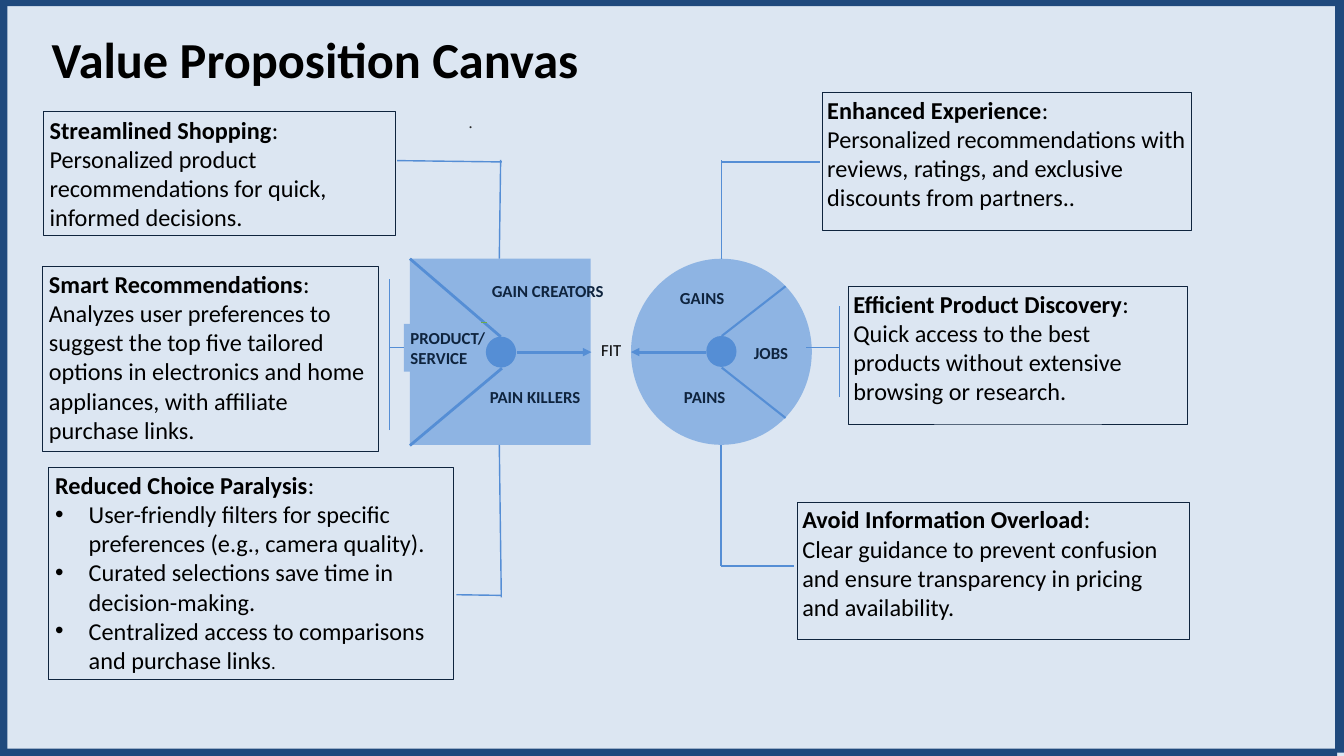
"""Build a Value Proposition Canvas slide."""
from lxml import etree
from pptx import Presentation
from pptx import util as u
from pptx.dml.color import RGBColor
from pptx.enum import shapes, text
from pptx.oxml import ns

PALE = RGBColor(0xDC, 0xE6, 0xF2)
LIGHT = RGBColor(0x8E, 0xB4, 0xE3)
BLUE = RGBColor(0x55, 0x8E, 0xD5)
NAVY = RGBColor(0x1F, 0x49, 0x7D)
INK = RGBColor(0x0F, 0x24, 0x3E)
GREEN = RGBColor(0x70, 0xAD, 0x47)
GREY = RGBColor(0x29, 0x29, 0x29)
BLACK = RGBColor(0, 0, 0)

presentation = Presentation()
presentation.slide_width = u.Inches(20)
presentation.slide_height = u.Inches(11.25)
COLUMN = presentation.slide_width / 20
ROW = presentation.slide_height / 11.25


def write(paragraph, content, size=26, bold=False, color=BLACK, font="Calibri"):
    run = paragraph.add_run()
    run.text = content
    run.font.size = u.Pt(size)
    run.font.bold = bold
    run.font.name = font
    run.font.color.rgb = color


def place(left, top, width, height):
    return int(left * COLUMN), int(top * ROW), int(width * COLUMN), int(height * ROW)


slide = presentation.slides.add_slide(presentation.slide_layouts[1])
slide.background.fill.solid()
slide.background.fill.fore_color.rgb = PALE

title, body = slide.placeholders
for placeholder, area in ((title, (0.77, 0.11, 13.49, 1.12)), (body, (0.72, 6.95, 6.03, 3.16))):
    placeholder.left, placeholder.top, placeholder.width, placeholder.height = place(*area)
    placeholder.text_frame.auto_size = text.MSO_AUTO_SIZE.NONE
    placeholder.text_frame.vertical_anchor = text.MSO_ANCHOR.TOP

frame = title.text_frame
frame.margin_left = frame.margin_top = frame.margin_right = frame.margin_bottom = 0
paragraph = frame.paragraphs[0]
paragraph.alignment = text.PP_ALIGN.LEFT
paragraph.line_spacing = u.Pt(87.5)
write(paragraph, "Value Proposition Canvas", size=54, bold=True)

body.line.color.rgb = INK
body.line.width = u.Pt(0.75)
paragraph = body.text_frame.paragraphs[0]
properties = paragraph._p.get_or_add_pPr()
properties.set("marL", "0")
properties.set("indent", "0")
etree.SubElement(properties, ns.qn("a:buNone"))
paragraph.space_before = u.Pt(0)
write(paragraph, "Reduced Choice Paralysis", bold=True)
write(paragraph, ":")
for item in (
    "User-friendly filters for specific preferences (e.g., camera quality).",
    "Curated selections save time in decision-making.",
    "Centralized access to comparisons and purchase links",
):
    paragraph = body.text_frame.add_paragraph()
    properties = paragraph._p.get_or_add_pPr()
    properties.set("marL", str(u.Inches(0.5)))
    properties.set("indent", str(-u.Inches(0.5)))
    etree.SubElement(properties, ns.qn("a:buFont")).set("typeface", "Arial")
    etree.SubElement(properties, ns.qn("a:buChar")).set("char", "•")
    paragraph.space_before = u.Pt(0)
    write(paragraph, item)
write(paragraph, ".", size=20)

RECTANGLE = shapes.MSO_SHAPE.RECTANGLE
CIRCLE = shapes.MSO_SHAPE.FLOWCHART_CONNECTOR
for kind, area, color in (
    (CIRCLE, (9.39, 3.85, 2.69, 2.77), LIGHT),
    (CIRCLE, (10.51, 5, 0.45, 0.46), BLUE),
    (RECTANGLE, (6.1, 3.85, 2.69, 2.77), LIGHT),
    (RECTANGLE, (6.01, 4.82, 1.42, 0.71), LIGHT),
    (CIRCLE, (7.23, 5.01, 0.45, 0.46), BLUE),
    (RECTANGLE, (0, -0.02, 19.9, 0.11), NAVY),
    (RECTANGLE, (0, 11.14, 19.9, 0.11), NAVY),
    (RECTANGLE, (-0.02, 0.03, 0.13, 11.2), NAVY),
    (RECTANGLE, (19.87, 0, 0.13, 11.2), NAVY),
):
    shape = slide.shapes.add_shape(kind, *place(*area))
    shape.shadow.inherit = False
    shape.fill.solid()
    shape.fill.fore_color.rgb = color
    shape.line.fill.background()

for start_x, start_y, end_x, end_y, width, color, arrow in (
    (10.51, 5.24, 9.39, 5.24, 3, BLUE, True),
    (7.7, 5.24, 8.8, 5.24, 3, BLUE, True),
    (11.69, 4.26, 10.74, 5, 2.25, BLUE, False),
    (11.69, 6.22, 10.74, 5.47, 2.25, BLUE, False),
    (7.47, 5.48, 6.1, 6.63, 3, BLUE, False),
    (7.45, 5.01, 6.1, 3.85, 3, BLUE, False),
    (7.43, 3.85, 7.45, 2.38, 1.5, BLUE, False),
    (7.47, 2.41, 5.91, 2.39, 1.5, BLUE, False),
    (7.46, 8.89, 7.43, 6.62, 1.5, BLUE, False),
    (7.46, 8.86, 6.79, 8.85, 1.5, BLUE, False),
    (7.24, 4.8, 7.16, 4.8, 1.5, GREEN, False),
    (5.8, 6.4, 5.8, 4.15, 1.5, BLUE, False),
    (6.01, 5.17, 5.8, 5.17, 1.5, BLUE, False),
    (10.74, 3.85, 10.74, 2.38, 1.5, BLUE, False),
    (12.2, 2.41, 10.73, 2.41, 1.5, BLUE, False),
    (12, 5.17, 12.49, 5.17, 0.5, BLUE, False),
    (12.49, 5.91, 12.49, 4.56, 0.5, BLUE, False),
    (10.73, 8.42, 10.73, 6.62, 1.5, BLUE, False),
    (11.81, 8.42, 10.73, 8.42, 1.5, BLUE, False),
):
    connector = slide.shapes.add_connector(
        shapes.MSO_CONNECTOR.STRAIGHT, *place(start_x, start_y, end_x, end_y)
    )
    connector.line.color.rgb = color
    connector.line.width = u.Pt(width)
    if arrow:
        outline = connector.line._get_or_add_ln()
        etree.SubElement(outline, ns.qn("a:tailEnd")).set("type", "triangle")
    etree.SubElement(connector._element.spPr, ns.qn("a:effectLst"))

LEFT, CENTER = text.PP_ALIGN.LEFT, text.PP_ALIGN.CENTER
LABEL = {"size": 18, "bold": True, "color": INK}
for area, lines, alignment, style in (
    ((11.12, 5.05, 1.29, 0.45), ["JOBS"], LEFT, LABEL),
    ((10.08, 5.71, 1.29, 0.45), ["PAINS"], LEFT, LABEL),
    ((10.02, 4.23, 1.29, 0.45), ["GAINS"], LEFT, LABEL),
    ((7.22, 4.13, 1.88, 0.45), ["GAIN CREATORS"], LEFT, LABEL),
    ((7.19, 5.71, 1.88, 0.45), ["PAIN KILLERS"], LEFT, LABEL),
    ((6.01, 4.82, 1.42, 0.71), ["PRODUCT/", "SERVICE"], LEFT, LABEL),
    ((8.16, 5, 1.87, 0.4), ["FIT"], CENTER, {"size": 18}),
    ((6.87, 1.62, 0.27, 0.4), ["."], LEFT, {"size": 18, "color": GREY, "font": "TeX Gyre Schola"}),
):
    frame = slide.shapes.add_textbox(*place(*area)).text_frame
    frame.word_wrap = True
    for index, line in enumerate(lines):
        paragraph = frame.add_paragraph() if index else frame.paragraphs[0]
        paragraph.alignment = alignment
        write(paragraph, line, **style)

for area, margins, heading, lines in (
    ((0.64, 1.66, 5.24, 1.85), (0.1, 0.05), "Streamlined Shopping",
     [": Personalized product recommendations for quick, informed decisions."]),
    ((0.63, 3.96, 5, 2.76), (0.1, 0.05), "Smart Recommendations",
     [": Analyzes user preferences to suggest the top five tailored options in "
      "electronics and home appliances, with affiliate purchase links."]),
    ((12.24, 1.38, 5.49, 2.05), (0.07, 0.04), "Enhanced Experience",
     [":", "Personalized recommendations with reviews, ratings, and exclusive "
      "discounts from partners.."]),
    ((12.63, 4.26, 5.04, 2.05), (0.07, 0.04), "Efficient Product Discovery",
     [":", "Quick access to the best products without extensive browsing or research."]),
    ((11.87, 7.47, 5.83, 2.05), (0.07, 0.04), "Avoid Information Overload",
     [":", "Clear guidance to prevent confusion and ensure transparency in pricing "
      "and availability."]),
):
    shape = slide.shapes.add_shape(RECTANGLE, *place(*area))
    shape.shadow.inherit = False
    shape.fill.background()
    shape.line.color.rgb = INK
    shape.line.width = u.Pt(0.75)
    frame = shape.text_frame
    frame.word_wrap = True
    frame.vertical_anchor = text.MSO_ANCHOR.TOP
    frame.margin_left = frame.margin_right = u.Inches(margins[0])
    frame.margin_top = frame.margin_bottom = u.Inches(margins[1])
    write(frame.paragraphs[0], heading, bold=True)
    for index, line in enumerate(lines):
        paragraph = frame.add_paragraph() if index else frame.paragraphs[0]
        paragraph.alignment = LEFT
        write(paragraph, line)

presentation.save("out.pptx")
